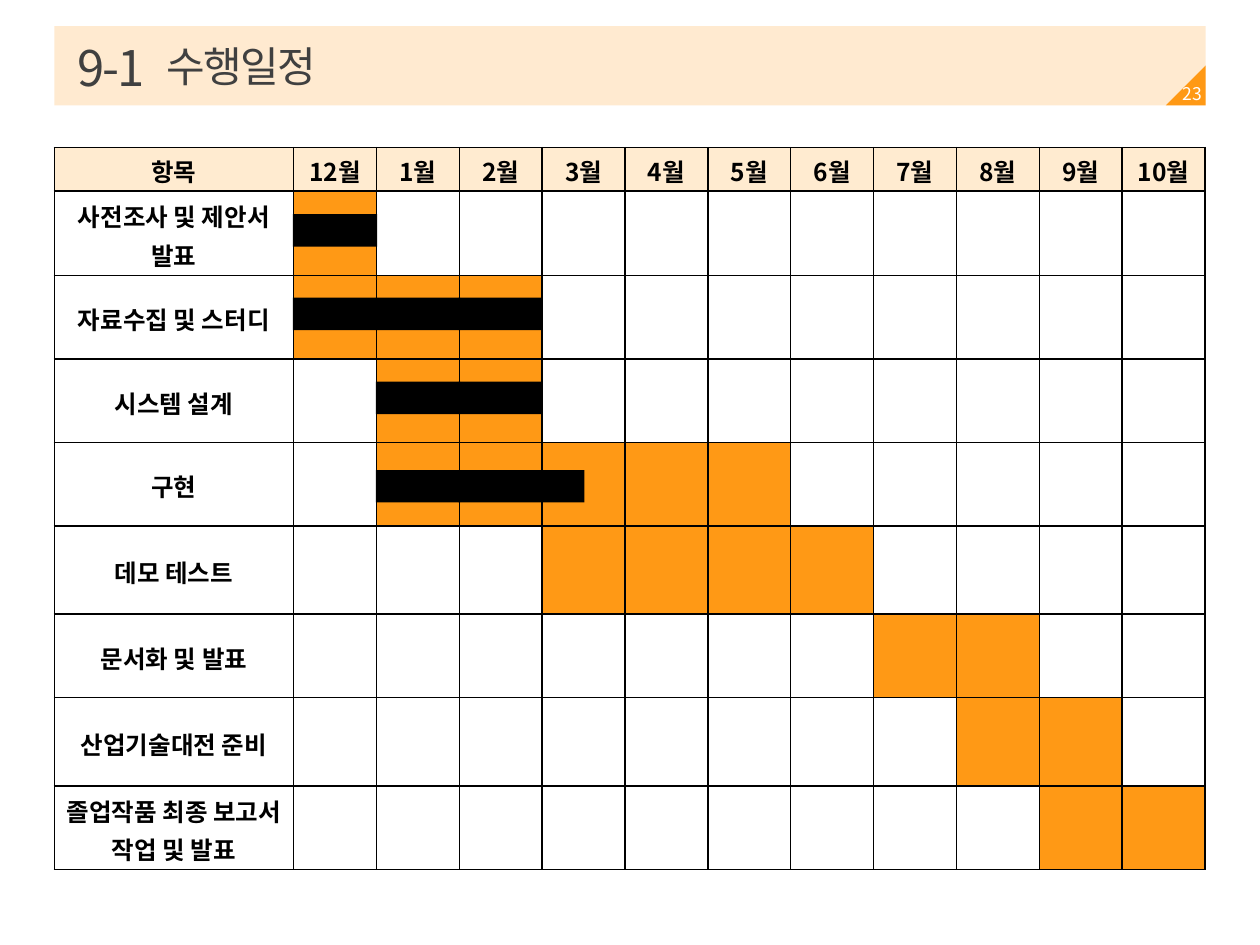
from lxml import etree
from pptx import Presentation
from pptx import util as u
from pptx.dml.color import RGBColor
from pptx.enum import shapes, text
from pptx.oxml.ns import qn

Pt = u.Pt
FONT = "Noto Sans CJK KR"
ORANGE, CREAM, BLACK, WHITE, GREY = "FF9915", "FFEBD0", "000000", "FFFFFF", "404040"

MONTHS = ["12월"] + [f"{m}월" for m in range(1, 11)]
# Task, first planned month, last planned month, row height
TASKS = [
    ("사전조사 및 제안서 발표", 0, 0, 48.2),
    ("자료수집 및 스터디", 0, 2, 47.8),
    ("시스템 설계", 1, 2, 47.6),
    ("구현", 1, 5, 47.8),
    ("데모 테스트", 3, 6, 50.2),
    ("문서화 및 발표", 7, 8, 47.8),
    ("산업기술대전 준비", 8, 9, 50.4),
    ("졸업작품 최종 보고서 작업 및 발표", 9, 10, 47.8),
]
# Top of the bar, first month, months done
PROGRESS = [(122.4, 0, 1), (170.1, 0, 3), (218.1, 1, 2), (268.6, 1, 2.5)]
HEAD_H, TASK_W, MONTH_W, BAR_H = 25, 136.8, 47.35, 18.5


def rgb(value):
    return RGBColor.from_string(value)


def style(p, size, color, bold=False):
    p.font.name, p.font.size, p.font.bold = FONT, Pt(size), bold
    p.font.color.rgb = rgb(color)
    for r in p.runs:
        rPr = r._r.get_or_add_rPr()
        etree.SubElement(rPr, qn("a:ea")).set("typeface", FONT)


def add_shape(s, kind, box, color):
    sp = s.shapes.add_shape(kind, *map(Pt, box))
    sp.shadow.inherit = False
    sp.fill.solid()
    sp.fill.fore_color.rgb = rgb(color)
    sp.line.fill.background()
    return sp


def add_text(s, words, box, size, color, align=text.PP_ALIGN.LEFT, spacing=0):
    tf = s.shapes.add_textbox(*map(Pt, box)).text_frame
    tf.word_wrap = True
    tf.vertical_anchor = text.MSO_ANCHOR.MIDDLE
    p = tf.paragraphs[0]
    p.text, p.alignment = words, align
    style(p, size, color)
    if spacing:
        p.runs[0]._r.get_or_add_rPr().set("spc", str(spacing * 100))


def add_header(s, x, y, w, h):
    band = add_shape(s, shapes.MSO_SHAPE.RECTANGLE, (x, y, w, h), ORANGE)
    clr = band.fill._xPr.find(qn("a:solidFill"))[0]
    etree.SubElement(clr, qn("a:alpha")).set("val", "20000")
    # Folded corner with the page number
    fold = 22.8
    corner = (x + w - fold, y + h - fold, fold, fold)
    for color in (WHITE, ORANGE):
        add_shape(s, shapes.MSO_SHAPE.RIGHT_TRIANGLE, corner, color).rotation = 270
    # Title and its number
    add_text(s, "수행일정", (x + 57, y + 3, 493, 39.6), 24, GREY, spacing=-1)
    add_text(s, "9-1", (x + 6, y + 3.6, 57, 39.6), 28, GREY, spacing=-1)
    add_text(s, "23", (x + w - 21.5, y + h - 17.3, 27.4, 20.9), 10, WHITE,
             text.PP_ALIGN.CENTER)


def format_cell(cell, words, fill):
    cell.vertical_anchor = text.MSO_ANCHOR.MIDDLE
    cell.margin_left = cell.margin_right = Pt(5)
    cell.margin_top, cell.margin_bottom = Pt(0.7), 0
    if fill:
        cell.fill.solid()
        cell.fill.fore_color.rgb = rgb(fill)
    else:
        cell.fill.background()
    p = cell.text_frame.paragraphs[0]
    p.text, p.alignment = words, text.PP_ALIGN.CENTER
    p.line_spacing, p.space_after = 1.07, Pt(8)
    style(p, 14, BLACK, bold=True)
    # Borders come before the fill
    tcPr = cell._tc.get_or_add_tcPr()
    for i, side in enumerate(("lnL", "lnR", "lnT", "lnB")):
        ln = etree.Element(qn(f"a:{side}"), w=str(Pt(1)))
        solid = etree.SubElement(ln, qn("a:solidFill"))
        etree.SubElement(solid, qn("a:srgbClr")).set("val", BLACK)
        tcPr.insert(i, ln)


def add_schedule(s, x, y):
    heights = [HEAD_H] + [task[3] for task in TASKS]
    widths = [TASK_W] + [MONTH_W] * len(MONTHS)
    table = s.shapes.add_table(len(heights), len(widths), Pt(x), Pt(y),
                               Pt(sum(widths)), Pt(sum(heights))).table
    table.first_row = table.horz_banding = False
    for row, h in zip(table.rows, heights):
        row.height = Pt(h)
    for col, w in zip(table.columns, widths):
        col.width = Pt(w)
    # Month names
    for c, words in enumerate(["항목"] + MONTHS):
        format_cell(table.cell(0, c), words, CREAM)
    # Tasks and planned months
    for r, (name, first, last, _) in enumerate(TASKS, 1):
        format_cell(table.cell(r, 0), name, None)
        for m in range(len(MONTHS)):
            format_cell(table.cell(r, m + 1), "", ORANGE if first <= m <= last else None)
    # Progress bars, one piece for each month
    for top, first, count in PROGRESS:
        done = 0
        while done < count:
            part = min(1, count - done)
            left = x + TASK_W + (first + done) * MONTH_W
            add_shape(s, shapes.MSO_SHAPE.RECTANGLE,
                      (left - 0.4, top, part * MONTH_W + 0.8, BAR_H), BLACK)
            done += part


def main():
    prs = Presentation()
    prs.slide_width, prs.slide_height = Pt(720), Pt(540)
    s = prs.slides.add_slide(prs.slide_layouts[6])
    add_header(s, 31, 15, 658, 45.2)
    add_schedule(s, 31, 84.3)
    prs.save("out.pptx")


if __name__ == "__main__":
    main()
